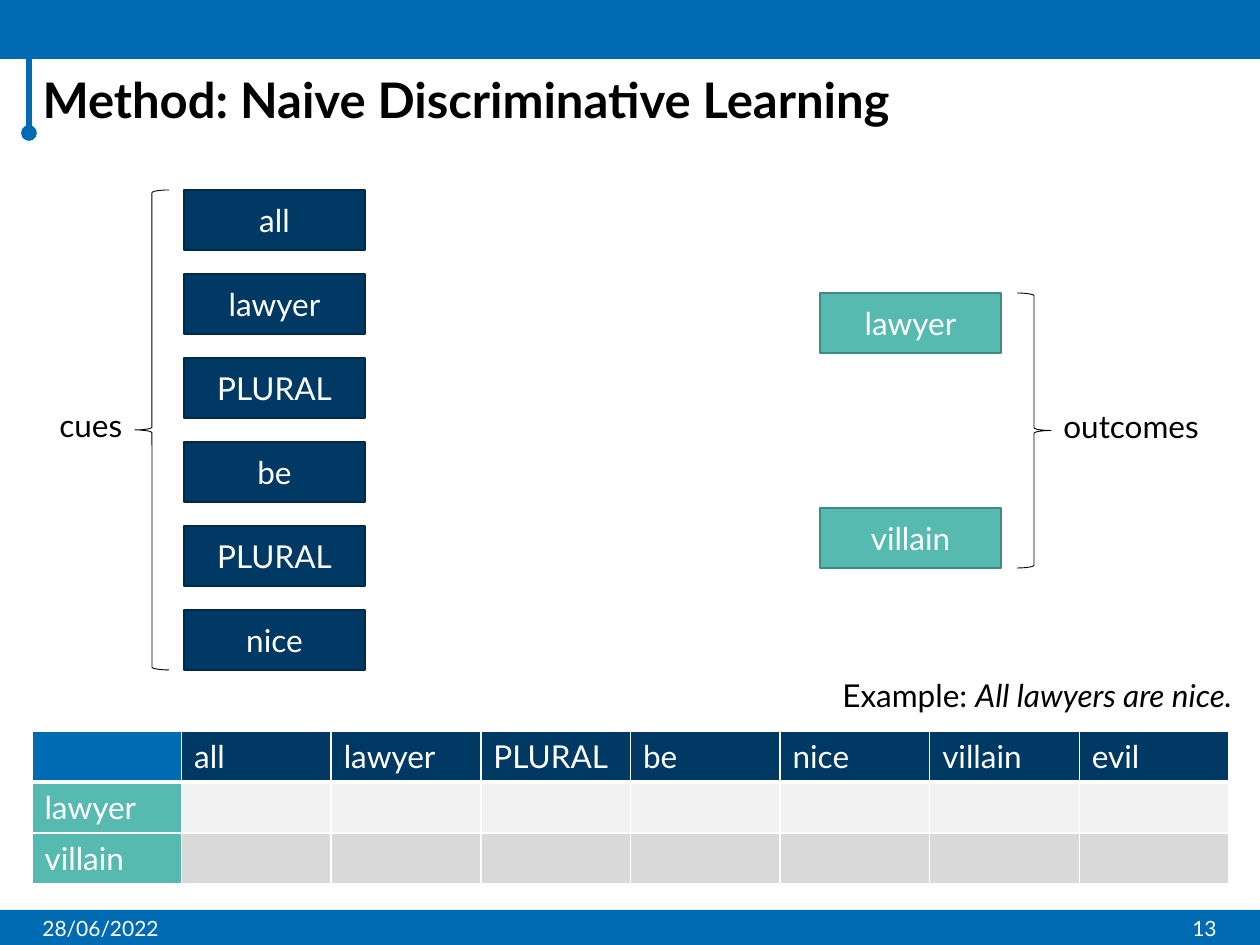
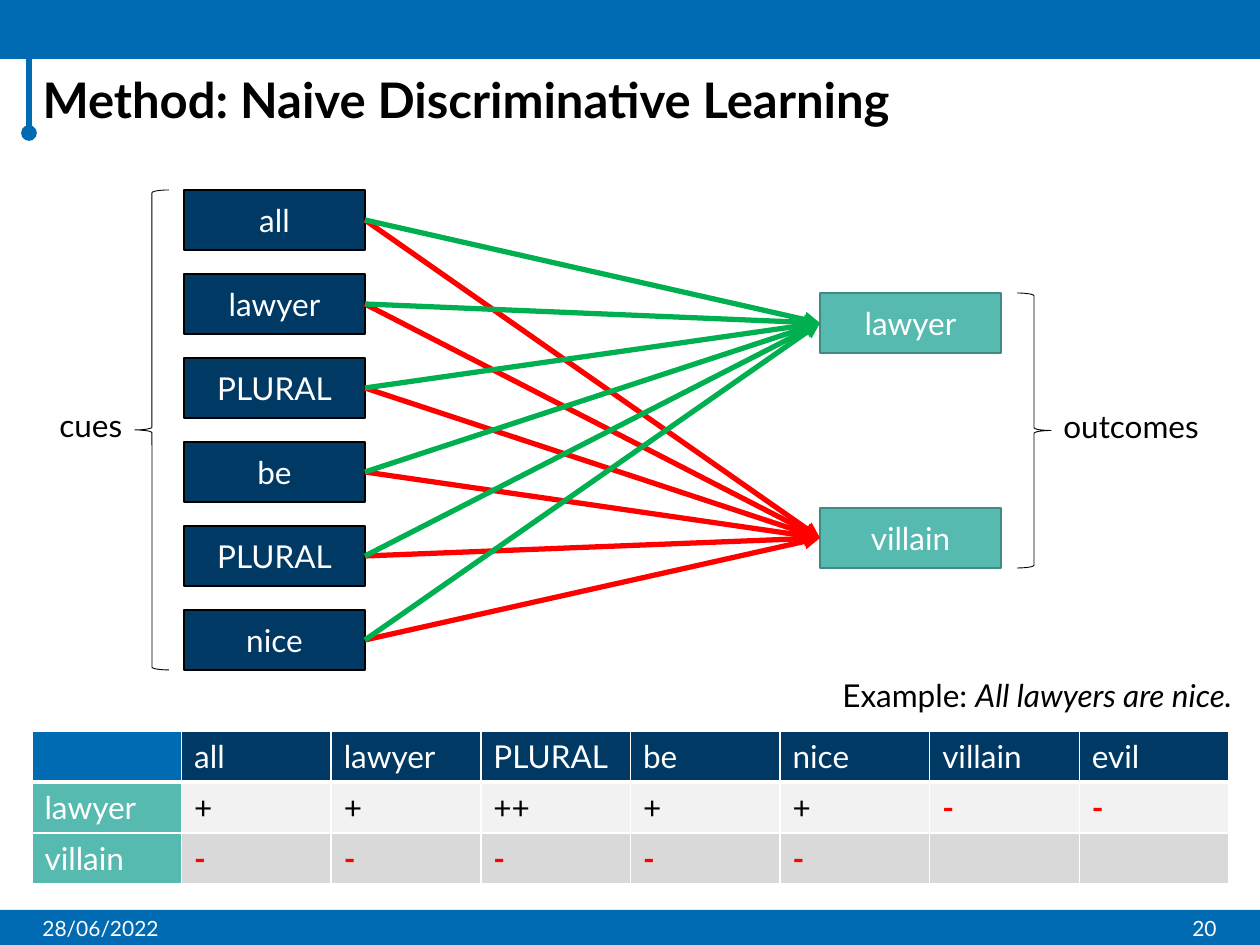
import lxml.etree
import pptx
import pptx.dml.color
import pptx.enum.shapes
import pptx.enum.text
import pptx.oxml.ns
import pptx.util

SCALE = 914400 / 126
COLORS = {
    "band": "006AB3", "cue": "003964", "outcome": "57BAB1",
    "cue_edge": "002A4A", "outcome_edge": "408A83",
    "black": "000000", "white": "FFFFFF",
    "light_row": "F2F2F2", "dark_row": "D9D9D9",
    "positive": "00B050", "negative": "FF0000",
}
BODY = {"name": "Lato", "size": pptx.util.Pt(18)}
SMALL = {**BODY, "size": pptx.util.Pt(12)}
HEADING = {**BODY, "size": pptx.util.Pt(28), "bold": True}
SHAPE = pptx.enum.shapes.MSO_SHAPE
ALIGN = pptx.enum.text.PP_ALIGN
MIDDLE = pptx.enum.text.MSO_ANCHOR.MIDDLE
TITLE = "Method: Naive Discriminative Learning"
DATE = "28/06/2022"
CUES = ["all", "lawyer", "PLURAL", "be", "PLURAL", "nice"]
OUTCOMES = ["lawyer", "villain"]
COLUMNS = ["all", "lawyer", "PLURAL", "be", "nice", "villain", "evil"]
NO_WEIGHTS = [[""] * len(COLUMNS) for _ in OUTCOMES]
WEIGHTS = [["+", "+", "++", "+", "+", "-", "-"],
           ["-", "-", "-", "-", "-", "", ""]]
BOX_W, BOX_H = 181, 60
BRACE_W = 34


def emu(px):
    """Convert px to EMU."""
    return pptx.util.Emu(round(px * SCALE))


def rgb(key):
    """Return the named colour."""
    return pptx.dml.color.RGBColor.from_string(COLORS[key])


def put(obj, values):
    """Set every attribute in a dict of format values."""
    for name, value in values.items():
        setattr(obj, name, value)


def add_run(p, text, color, values):
    """Append a formatted run to a paragraph."""
    r = p.add_run()
    r.text = text
    put(r.font, values)
    r.font.color.rgb = rgb(color)


def add_box(slide, kind, box, fill=None, edge=None, width=1):
    """Add a preset shape without shadow."""
    sp = slide.shapes.add_shape(kind, *map(emu, box))
    sp.shadow.inherit = False
    if fill:
        sp.fill.solid()
        sp.fill.fore_color.rgb = rgb(fill)
    else:
        sp.fill.background()
    if edge:
        sp.line.color.rgb = rgb(edge)
        sp.line.width = pptx.util.Pt(width)
    else:
        sp.line.fill.background()
    return sp


def add_label(slide, box, runs, align=ALIGN.LEFT, **frame):
    """Add a text box whose runs are (text, colour, format) triples."""
    tf = slide.shapes.add_textbox(*map(emu, box)).text_frame
    put(tf, {"word_wrap": True, **frame})
    p = tf.paragraphs[0]
    p.alignment = align
    for run in runs:
        add_run(p, *run)


def add_line(slide, ends, color, **caps):
    """Add a thick connector with the given headEnd and tailEnd types."""
    straight = pptx.enum.shapes.MSO_CONNECTOR.STRAIGHT
    line = slide.shapes.add_connector(straight, *map(emu, ends))
    line.line.color.rgb = rgb(color)
    line.line.width = pptx.util.Pt(3)
    ln = line.line._get_or_add_ln()
    for tag, cap in caps.items():
        lxml.etree.SubElement(ln, pptx.oxml.ns.qn(f"a:{tag}"), type=cap)
    lxml.etree.SubElement(line._element.spPr, pptx.oxml.ns.qn("a:effectLst"))
    return line


def add_frame(slide, number):
    """Place the bands, marker line, title, date and slide number."""
    for top, height in ((910, 35), (0, 59)):
        add_box(slide, SHAPE.RECTANGLE, (0, top, 1260, height), "band")
    add_line(slide, (29, 44, 29, 133), "band", headEnd="oval", tailEnd="oval")
    title = slide.shapes.title
    put(title, dict(zip(("left", "top", "width", "height"),
                        map(emu, (30, 73, 1198, 59)))))
    tf = title.text_frame
    put(tf, {"vertical_anchor": MIDDLE, "word_wrap": True,
             "auto_size": pptx.enum.text.MSO_AUTO_SIZE.NONE})
    p = tf.paragraphs[0]
    put(p, {"alignment": ALIGN.LEFT, "line_spacing": 0.9})
    add_run(p, TITLE, "black", HEADING)
    for left, text, align in ((30, DATE, ALIGN.LEFT), (945, number, ALIGN.RIGHT)):
        add_label(slide, (left, 903, 284, 50), [(text, "white", SMALL)], align,
                  vertical_anchor=MIDDLE)


def add_stack(slide, box, words, fill, edge):
    """Spread word boxes evenly from the top to the bottom of a box."""
    left, top, width, height = box
    pitch = (height - BOX_H) / (len(words) - 1)
    stack = []
    for i, word in enumerate(words):
        sp = add_box(slide, SHAPE.RECTANGLE,
                     (left, top + i * pitch, width, BOX_H), fill, edge)
        sp.text_frame.vertical_anchor = MIDDLE
        p = sp.text_frame.paragraphs[0]
        p.alignment = ALIGN.CENTER
        add_run(p, word, "white", BODY)
        stack.append(sp)
    return stack


def add_brace(slide, box, rotation, text, label_left, label_width):
    """Add a brace and its label beside the brace's point."""
    left, top, width, height = box
    brace = add_box(slide, SHAPE.LEFT_BRACE, box, edge="black", width=0.5)
    brace.rotation = rotation
    label = (label_left, top + height / 2 - 30, label_width, 50)
    add_label(slide, label, [(text, "black", BODY)], word_wrap=False)


def add_network(slide, box, cue_edge, linked):
    """Place cues left and outcomes right, with arrows if linked."""
    left, top, width, height = box
    right = left + width
    cues = add_stack(slide, (left + 137, top, BOX_W, height), CUES, "cue", cue_edge)
    outcomes = add_stack(slide, (right - 389, top + 103, BOX_W, 275), OUTCOMES,
                         "outcome", "outcome_edge")
    add_brace(slide, (left + 88, top, BRACE_W, height), 0, "cues", left, 88)
    add_brace(slide, (right - 192, top + 103, BRACE_W, 275), 180,
              "outcomes", right - 158, 161)
    if linked:
        for outcome, color in zip(reversed(outcomes), ("negative", "positive")):
            for cue in cues:
                arrow = add_line(slide, (0, 0, 0, 0), color, tailEnd="triangle")
                arrow.begin_connect(cue, 3)
                arrow.end_connect(outcome, 1)


def add_cell_borders(cell, row):
    """Draw white cell borders, thick between header and body."""
    tc_pr = cell._tc.get_or_add_tcPr()
    thick = {0: "lnB", 1: "lnT"}.get(row)
    for tag in ("lnL", "lnR", "lnT", "lnB"):
        points = 3 if tag == thick else 1
        ln = lxml.etree.SubElement(tc_pr, pptx.oxml.ns.qn(f"a:{tag}"),
                                   w=str(pptx.util.Pt(points)))
        fill = lxml.etree.SubElement(ln, pptx.oxml.ns.qn("a:solidFill"))
        lxml.etree.SubElement(fill, pptx.oxml.ns.qn("a:srgbClr"),
                              val=COLORS["white"])


def add_weights(slide, box, weights):
    """Place the table of cue weights for each outcome."""
    rows = [["", *COLUMNS]]
    rows += [[name, *values] for name, values in zip(OUTCOMES, weights)]
    table = slide.shapes.add_table(len(rows), len(rows[0]),
                                   *map(emu, box)).table
    put(table, {"first_row": False, "horz_banding": False})
    head_fills = ("band", "outcome", "outcome")
    body_fills = ("cue", "light_row", "dark_row")
    for i, row in enumerate(rows):
        for j, text in enumerate(row):
            cell = table.cell(i, j)
            add_cell_borders(cell, i)
            cell.fill.solid()
            cell.fill.fore_color.rgb = rgb(body_fills[i] if j else head_fills[i])
            minus = text == "-"
            color = "negative" if minus else "black" if "+" in text else "white"
            if text:
                add_run(cell.text_frame.paragraphs[0], text, color,
                        {**BODY, "bold": minus})


def add_learning_slide(prs, number, cue_edge, weights, linked):
    """Build one step of the learning example."""
    slide = prs.slides.add_slide(prs.slide_layouts[5])
    add_frame(slide, number)
    add_network(slide, (47, 190, 1162, 480), cue_edge, linked)
    add_label(slide, (830, 670, 430, 50),
              [("Example: ", "black", BODY),
               ("All lawyers are nice.", "black", {**BODY, "italic": True})])
    add_weights(slide, (32, 731, 1197, 153), weights)


def main():
    """Build and save the presentation."""
    prs = pptx.Presentation()
    put(prs, {"slide_width": emu(1260), "slide_height": emu(945)})
    add_learning_slide(prs, "13", "cue_edge", NO_WEIGHTS, False)
    add_learning_slide(prs, "20", "black", WEIGHTS, True)
    prs.save("out.pptx")


if __name__ == "__main__":
    main()
